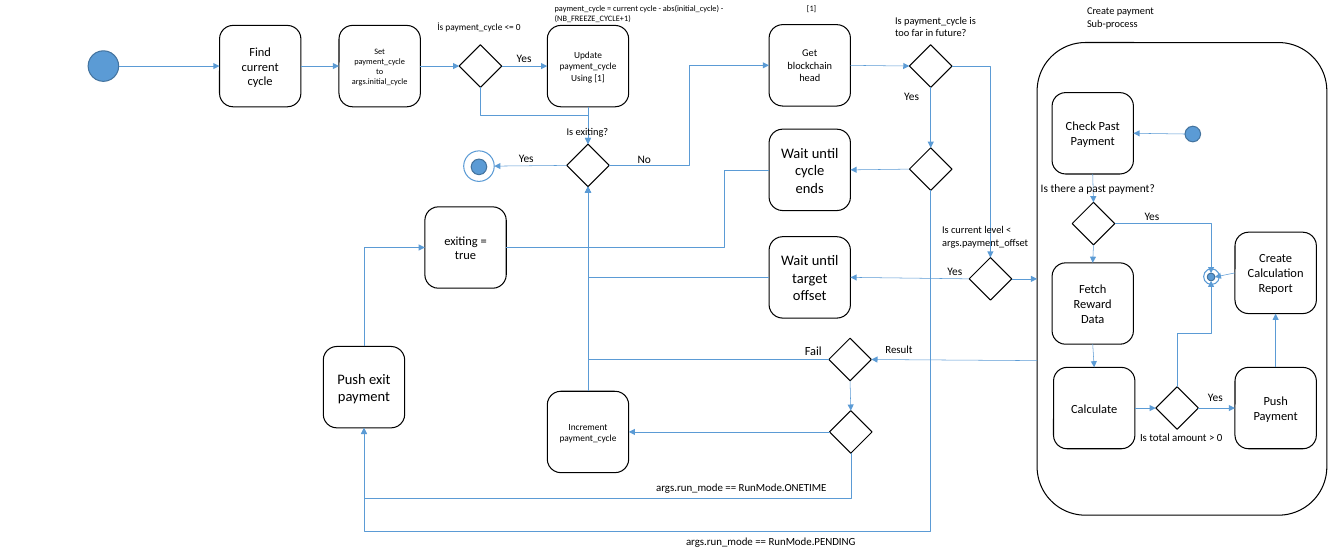
from lxml import etree
from pptx import Presentation
from pptx.dml.color import RGBColor
from pptx.enum.shapes import MSO_CONNECTOR, MSO_SHAPE
from pptx.enum.text import MSO_ANCHOR, MSO_AUTO_SIZE, PP_ALIGN
from pptx.oxml.ns import qn
from pptx.util import Inches, Pt

COLORS = {"black": "000000", "white": "FFFFFF", "blue": "5B9BD5", "edge": "43739E"}
TOP, LEFT, BOTTOM, RIGHT = range(4)
BOX, DIAMOND = 1.09, 0.57

prs = Presentation()
prs.slide_width, prs.slide_height = Inches(18), Inches(7.5)
s = prs.slides.add_slide(prs.slide_layouts[6])
nodes = {}


def add_node(name, kind, x, y, w, h, fill="white", line="black"):
    sp = s.shapes.add_shape(kind, Inches(x), Inches(y), Inches(w), Inches(h))
    sp.shadow.inherit = False
    sp.fill.solid()
    sp.fill.fore_color.rgb = RGBColor.from_string(COLORS[fill])
    sp.line.color.rgb = RGBColor.from_string(COLORS[line])
    sp.line.width = Pt(1)
    nodes[name] = sp
    return sp


def format_text(tf, text, size, align):
    tf.text = text
    p = tf.paragraphs[0]
    p.alignment = align
    font = p.runs[0].font
    font.name, font.size = "Calibri", Pt(size)
    font.color.rgb = RGBColor.from_string(COLORS["black"])


# Sub-process frame
add_node("subprocess", MSO_SHAPE.ROUNDED_RECTANGLE, 13.89, 0.57, 3.88, 6.33)

# Start and end circles
for name, x, y, d, fill, line in [
    ("start", 1.18, 0.68, 0.41, "blue", "edge"),
    ("end", 6.21, 2.02, 0.41, "white", "blue"),
    ("end dot", 6.31, 2.13, 0.21, "blue", "edge"),
    ("sub start", 15.87, 1.69, 0.21, "blue", "edge"),
    ("sub end", 16.12, 3.6, 0.21, "white", "blue"),
    ("sub end dot", 16.17, 3.66, 0.1, "blue", "edge"),
]:
    add_node(name, MSO_SHAPE.OVAL, x, y, d, d, fill, line)

# Activities
for name, text, x, y, size in [
    ("find", "Find current cycle", 2.94, 0.34, 12),
    ("set", "Set payment_cycle to args.initial_cycle", 4.54, 0.34, 8),
    ("update", "Update payment_cycle Using [1]", 7.33, 0.34, 9),
    ("head", "Get blockchain head", 10.3, 0.33, 10),
    ("wait cycle", "Wait until cycle ends", 10.3, 1.73, 14),
    ("wait offset", "Wait until target offset", 10.3, 3.17, 14),
    ("exiting", "exiting = true", 5.69, 2.77, 12),
    ("push exit", "Push exit payment", 4.33, 4.64, 14),
    ("increment", "Increment payment_cycle", 7.33, 5.24, 9),
    ("check", "Check Past Payment", 14.09, 1.24, 12),
    ("fetch", "Fetch Reward Data", 14.09, 3.52, 12),
    ("calculate", "Calculate", 14.11, 4.92, 12),
    ("push", "Push Payment", 16.54, 4.92, 12),
    ("report", "Create Calculation Report", 16.54, 3.11, 12),
]:
    sp = add_node(name, MSO_SHAPE.ROUNDED_RECTANGLE, x, y, BOX, BOX)
    sp.text_frame.word_wrap = True
    sp.text_frame.vertical_anchor = MSO_ANCHOR.MIDDLE
    format_text(sp.text_frame, text, size, PP_ALIGN.CENTER)

# Decisions
for name, x, y in [
    ("cycle <= 0?", 6.15, 0.6), ("exiting?", 7.59, 1.93),
    ("future?", 12.18, 0.6), ("pending?", 12.18, 1.98),
    ("level?", 12.98, 3.45), ("result?", 11.1, 4.53),
    ("onetime?", 11.11, 5.5), ("past payment?", 14.36, 2.71),
    ("amount?", 15.48, 5.18),
]:
    add_node(name, MSO_SHAPE.DIAMOND, x, y, DIAMOND, DIAMOND)

# Arrows: from, side, to, side, then for elbows (segments, rotation, flips, adjustments)
for start, side1, end, side2, *elbow in [
    ("start", RIGHT, "find", LEFT),
    ("find", RIGHT, "set", LEFT),
    ("set", RIGHT, "cycle <= 0?", LEFT),
    ("cycle <= 0?", RIGHT, "update", LEFT),
    ("update", BOTTOM, "exiting?", TOP),
    ("exiting?", LEFT, "end", RIGHT),
    ("head", RIGHT, "future?", LEFT),
    ("future?", BOTTOM, "pending?", TOP),
    ("pending?", LEFT, "wait cycle", RIGHT),
    ("level?", LEFT, "wait offset", RIGHT),
    ("level?", RIGHT, "subprocess", LEFT),
    (None, None, "result?", RIGHT),
    ("result?", BOTTOM, "onetime?", TOP),
    ("onetime?", LEFT, "increment", RIGHT),
    ("increment", TOP, "exiting?", BOTTOM),
    ("sub start", LEFT, "check", RIGHT),
    ("check", BOTTOM, "past payment?", TOP),
    ("past payment?", BOTTOM, "fetch", TOP),
    ("fetch", BOTTOM, "calculate", TOP),
    ("calculate", RIGHT, "amount?", LEFT),
    ("amount?", RIGHT, "push", LEFT),
    ("push", TOP, "report", BOTTOM),
    ("report", LEFT, "sub end dot", RIGHT),
    ("cycle <= 0?", BOTTOM, "exiting?", TOP, 3, 270, "H", 0.5),
    ("exiting?", RIGHT, "head", LEFT, 3, 0, "V", 0.5),
    ("future?", RIGHT, "level?", TOP, 2, 0, ""),
    ("wait cycle", LEFT, "exiting?", BOTTOM, 4, 180, "V", 0.246, 4.58),
    ("wait offset", LEFT, "exiting?", BOTTOM, 2, 180, ""),
    ("result?", LEFT, "exiting?", BOTTOM, 2, 180, ""),
    ("exiting", RIGHT, "exiting?", BOTTOM, 2, 0, "V"),
    ("push exit", TOP, "exiting", LEFT, 2, 90, "HV"),
    ("onetime?", BOTTOM, "push exit", BOTTOM, 3, 90, "H", -1.769),
    ("pending?", BOTTOM, "push exit", BOTTOM, 3, 90, "", 1.437),
    ("past payment?", RIGHT, "sub end dot", TOP, 2, 0, ""),
    ("amount?", TOP, "sub end dot", BOTTOM, 3, 90, "HV", 0.5),
]:
    kind = MSO_CONNECTOR.ELBOW if elbow else MSO_CONNECTOR.STRAIGHT
    c = s.shapes.add_connector(kind, Inches(13.89), Inches(4.83), 0, 0)
    if start:
        c.begin_connect(nodes[start], side1)
    c.end_connect(nodes[end], side2)
    c.line.color.rgb = RGBColor.from_string(COLORS["blue"])
    c.line.width = Pt(0.5)
    spPr = c._element.spPr
    etree.SubElement(c.line._get_or_add_ln(), qn("a:tailEnd"), type="triangle")
    etree.SubElement(spPr, qn("a:effectLst"))

    # An oval has eight connection sites, so its sides are every second one
    for tag, name, side in (("a:stCxn", start, side1), ("a:endCxn", end, side2)):
        if name and nodes[name].auto_shape_type == MSO_SHAPE.OVAL:
            c._element.find(".//" + qn(tag)).set("idx", str(2 * side))

    if elbow:
        segments, rotation, flips, *adjustments = elbow
        x1, y1, x2, y2 = c.begin_x, c.begin_y, c.end_x, c.end_y
        w, h = abs(x2 - x1), abs(y2 - y1)
        if rotation % 180:
            w, h = h, w
        c.left, c.top = (x1 + x2 - w) // 2, (y1 + y2 - h) // 2
        c.width, c.height = w, h
        xfrm = spPr.find(qn("a:xfrm"))
        xfrm.set("rot", str(rotation * 60000))
        for flip in "HV":
            xfrm.set("flip" + flip, str(int(flip in flips)))
        geom = spPr.find(qn("a:prstGeom"))
        geom.set("prst", f"bentConnector{segments}")
        for i, value in enumerate(adjustments, 1):
            etree.SubElement(geom.find(qn("a:avLst")), qn("a:gd"),
                             name=f"adj{i}", fmla=f"val {round(value * 100000)}")

# Labels
for text, x, y, w, h, size, wrap in [
    ("İs payment_cycle <= 0", 5.76, 0.24, 1.33, 0.25, 9, False),
    ("payment_cycle = current cycle - abs(initial_cycle) - (NB_FREEZE_CYCLE+1)",
     7.33, 0, 3.5, 0.24, 8, False),
    ("[1]", 10.71, 0, 0.36, 0.24, 8, False),
    ("Is exiting?", 7.49, 1.63, 0.77, 0.27, 10, False),
    ("No", 8.44, 1.99, 0.38, 0.29, 11, False),
    ("Is payment_cycle is too far in future?", 11.89, 0.14, 1.29, 0.44, 10, True),
    ("Is current level < args.payment_offset", 12.52, 2.94, 1.5, 0.44, 10, True),
    ("Result", 11.76, 4.54, 0.59, 0.29, 10.5, False),
    ("Fail", 10.68, 4.54, 0.43, 0.3, 12, False),
    ("args.run_mode == RunMode.ONETIME", 8.69, 6.39, 2.52, 0.28, 10.5, False),
    ("args.run_mode == RunMode.PENDING", 9.09, 7.11, 2.51, 0.28, 10.5, False),
    ("Is there a past payment?", 13.84, 2.38, 1.75, 0.29, 11, False),
    ("Is total amount > 0", 15.17, 5.72, 1.33, 0.28, 10.5, False),
    ("Create payment Sub-process", 14.46, 0.01, 1.29, 0.44, 10, True),
    *[("Yes", x, y, 0.41, 0.29, 11, False) for x, y in (
        (6.82, 0.64), (6.85, 1.98), (12.01, 1.15),
        (12.59, 3.49), (15.23, 2.75), (16.08, 5.17))],
]:
    tf = s.shapes.add_textbox(Inches(x), Inches(y), Inches(w), Inches(h)).text_frame
    tf.word_wrap = wrap
    tf.auto_size = MSO_AUTO_SIZE.SHAPE_TO_FIT_TEXT
    format_text(tf, text, size, PP_ALIGN.LEFT)

prs.save("out.pptx")
